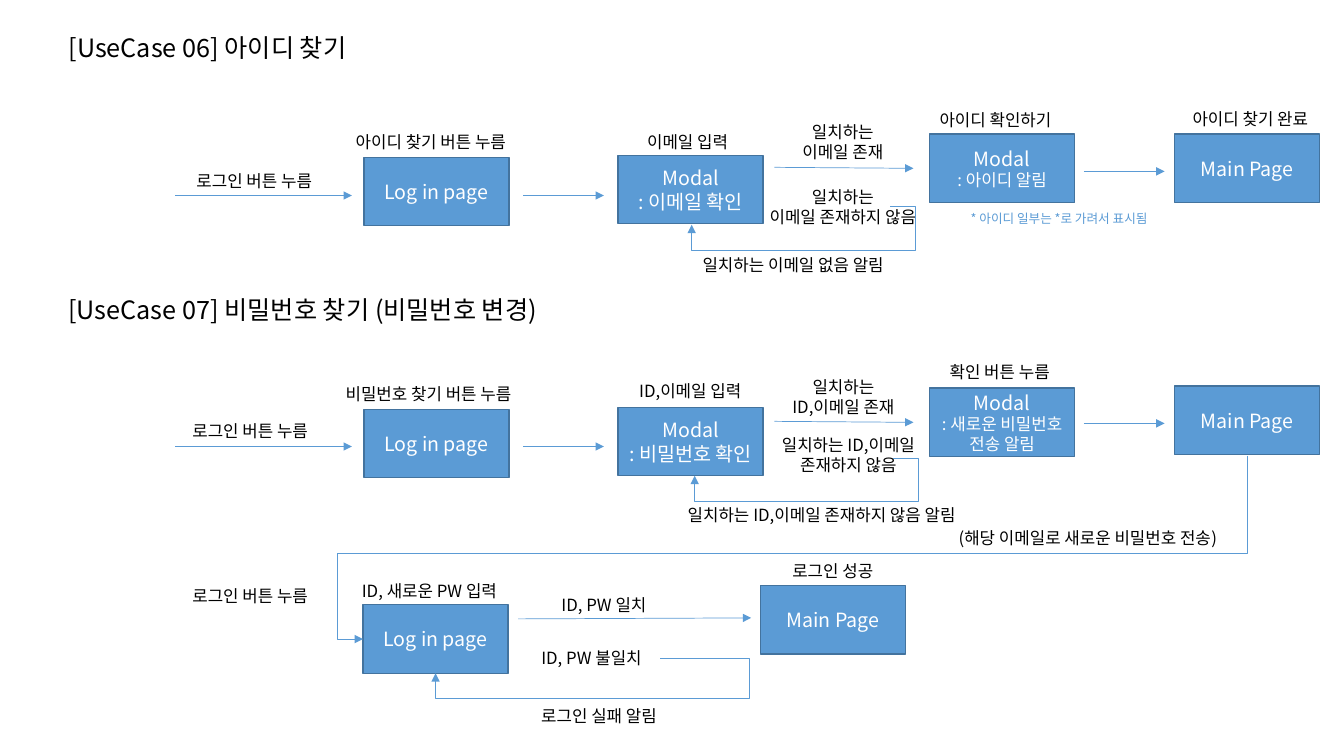
from lxml import etree
from pptx import Presentation
from pptx.dml import color
from pptx.enum import shapes, text
from pptx.oxml import ns
from pptx.util import Inches, Pt

FONT = "Noto Sans CJK KR"
BLUE, EDGE, BLACK, WHITE = "5B9BD5", "43739E", "000000", "FFFFFF"
BOX_W, BOX_H = 1.44, 0.68
LEFT, MID = text.PP_ALIGN.LEFT, text.PP_ALIGN.CENTER


def tint(fmt, hue):
    """Apply a hex colour to a colour format."""
    fmt.rgb = color.RGBColor.from_string(hue)


def write(frame, words, size=12, rest=None, hue=BLACK, align=LEFT, wrap=False):
    """Fill a text frame, one paragraph a line; rest sizes later lines."""
    frame.word_wrap = wrap
    for i, line in enumerate(words.split("\n")):
        para = frame.add_paragraph() if i else frame.paragraphs[0]
        para.alignment = align
        run = para.add_run()
        run.text = line
        run.font.size = Pt(rest if i and rest else size)
        tint(run.font.color, hue)
        run.font.name = FONT
        etree.SubElement(run.font._element, ns.qn("a:ea")).set("typeface", FONT)


def title(slide, words, x, y, w, h):
    """Place the slide title in its placeholder."""
    head = slide.shapes.title
    head.left, head.top, head.width, head.height = map(Inches, (x, y, w, h))
    write(head.text_frame, words, size=18)
    head.text_frame.vertical_anchor = text.MSO_ANCHOR.TOP
    head.text_frame.auto_size = text.MSO_AUTO_SIZE.NONE


def label(slide, words, x, y, w, h=0.3, **form):
    """Add a free text label."""
    note = slide.shapes.add_textbox(*map(Inches, (x, y, w, h)))
    write(note.text_frame, words, **form)
    note.text_frame.auto_size = text.MSO_AUTO_SIZE.SHAPE_TO_FIT_TEXT


def page(slide, words, x, y, rest=14):
    """Add a blue page box."""
    box = slide.shapes.add_shape(
        shapes.MSO_SHAPE.RECTANGLE, *map(Inches, (x, y, BOX_W, BOX_H)))
    box.shadow.inherit = False
    box.fill.solid()
    tint(box.fill.fore_color, BLUE)
    tint(box.line.color, EDGE)
    box.line.width = Pt(1)
    write(box.text_frame, words, size=14, rest=rest, hue=WHITE, align=MID, wrap=True)
    box.text_frame.vertical_anchor = text.MSO_ANCHOR.MIDDLE


def point(line):
    """Give a line its colour, width and arrowhead."""
    tint(line.color, BLUE)
    line.width = Pt(0.5)
    etree.SubElement(line._get_or_add_ln(), ns.qn("a:tailEnd")).set("type", "triangle")


def arrow(slide, x1, y1, x2, y2):
    """Add a straight arrow."""
    link = slide.shapes.add_connector(
        shapes.MSO_CONNECTOR.STRAIGHT, *map(Inches, (x1, y1, x2, y2)))
    point(link.line)
    etree.SubElement(link._element.spPr, ns.qn("a:effectLst"))


def route(slide, *stops):
    """Add an arrow with square bends through the stops."""
    first, *more = [(Inches(x), Inches(y)) for x, y in stops]
    pen = slide.shapes.build_freeform(*first)
    pen.add_line_segments(more, close=False)
    path = pen.convert_to_shape()
    path.fill.background()
    point(path.line)
    path.shadow.inherit = False


def loop(slide, x, y, right, low, end, tip):
    """Add a return arrow that goes right, down, back and up."""
    route(slide, (x, y), (right, y), (right, low), (end, low), (end, tip))


def main():
    """Build the slide."""
    deck = Presentation()
    deck.slide_width, deck.slide_height = Inches(13.33), Inches(7.5)
    slide = deck.slides.add_slide(deck.slide_layouts[5])

    title(slide, "[UseCase 06] 아이디 찾기", 0.58, 0.27, 3.06, 0.4)
    label(slide, "[UseCase 07] 비밀번호 찾기 (비밀번호 변경)", 0.58, 2.87, 4.89, 0.4,
          size=18, wrap=True)

    for words, x, y, rest in [
        ("Log in page", 3.61, 1.56, 14),
        ("Modal\n: 이메일 확인", 6.13, 1.54, 14),
        ("Modal\n: 아이디 알림", 9.22, 1.33, 12),
        ("Main Page", 11.65, 1.33, 14),
        ("Log in page", 3.61, 4.06, 14),
        ("Modal\n: 비밀번호 확인", 6.13, 4.04, 14),
        ("Modal\n: 새로운 비밀번호 전송 알림", 9.22, 3.85, 12),
        ("Main Page", 11.65, 3.83, 14),
        ("Log in page", 3.6, 6, 14),
        ("Main Page", 7.54, 5.81, 14),
    ]:
        page(slide, words, x, y, rest)

    for words, x, y, w in [
        ("로그인 버튼 누름", 1.85, 1.64, 1.5),
        ("아이디 찾기 버튼 누름", 3.43, 1.26, 2.06),
        ("이메일 입력", 6.32, 1.26, 1.1),
        ("아이디 확인하기", 9.22, 1.04, 1.44),
        ("아이디 찾기 완료", 11.73, 1.03, 1.5),
        ("일치하는 이메일 없음 알림", 6.87, 2.48, 2.23),
        ("로그인 버튼 누름", 1.81, 4.12, 1.5),
        ("비밀번호 찾기 버튼 누름", 3.33, 3.76, 2.06),
        ("ID,이메일 입력", 6.24, 3.73, 1.29),
        ("확인 버튼 누름", 9.32, 3.54, 1.33),
        ("(해당 이메일로 새로운 비밀번호 전송)", 9.41, 5.19, 3.07),
        ("로그인 버튼 누름", 1.81, 5.76, 1.5),
        ("ID, 새로운 PW 입력", 3.49, 5.71, 1.68),
        ("ID, PW 일치", 5.47, 5.85, 1.11),
        ("ID, PW 불일치", 5.27, 6.38, 1.28),
        ("로그인 성공", 7.76, 5.51, 1.1),
        ("로그인 실패 알림", 5.27, 6.95, 1.5),
    ]:
        label(slide, words, x, y, w)

    for words, x, y, w in [
        ("일치하는\n이메일 존재", 7.81, 1.16, 1.1),
        ("일치하는\n이메일 존재하지 않음", 7.44, 1.8, 1.84),
        ("일치하는\nID,이메일 존재", 7.72, 3.69, 1.29),
        ("일치하는 ID,이메일\n존재하지 않음", 7.6, 4.26, 1.63),
    ]:
        label(slide, words, x, y, w, 0.5, align=MID)
    label(slide, "일치하는 ID,이메일 존재하지 않음 알림", 6.55, 4.96, 3.2,
          align=MID, wrap=True)
    label(slide, "* 아이디 일부는 *로 가려서 표시됨", 9.53, 2.04, 2.17, 0.25,
          size=9, hue=BLUE)

    for base, fork, last in [(1.94, 1.66, 1.7), (4.43, 4.18, 4.2)]:
        arrow(slide, 1.74, base, 3.49, base)
        arrow(slide, 5.19, base, 5.99, base)
        arrow(slide, 7.68, fork, 9.06, fork + 0.01)
        arrow(slide, 10.75, last, 11.55, last)
    arrow(slide, 5.14, 6.14, 7.45, 6.13)

    loop(slide, 8.83, 2.05, 9.08, 2.48, 6.86, 2.23)
    loop(slide, 8.86, 4.55, 9.11, 4.97, 6.89, 4.72)
    loop(slide, 6.55, 6.53, 7.43, 6.93, 4.32, 6.68)
    route(slide, (12.37, 4.52), (12.37, 5.49), (3.35, 5.49), (3.35, 6.34), (3.6, 6.34))

    deck.save("out.pptx")


if __name__ == "__main__":
    main()
